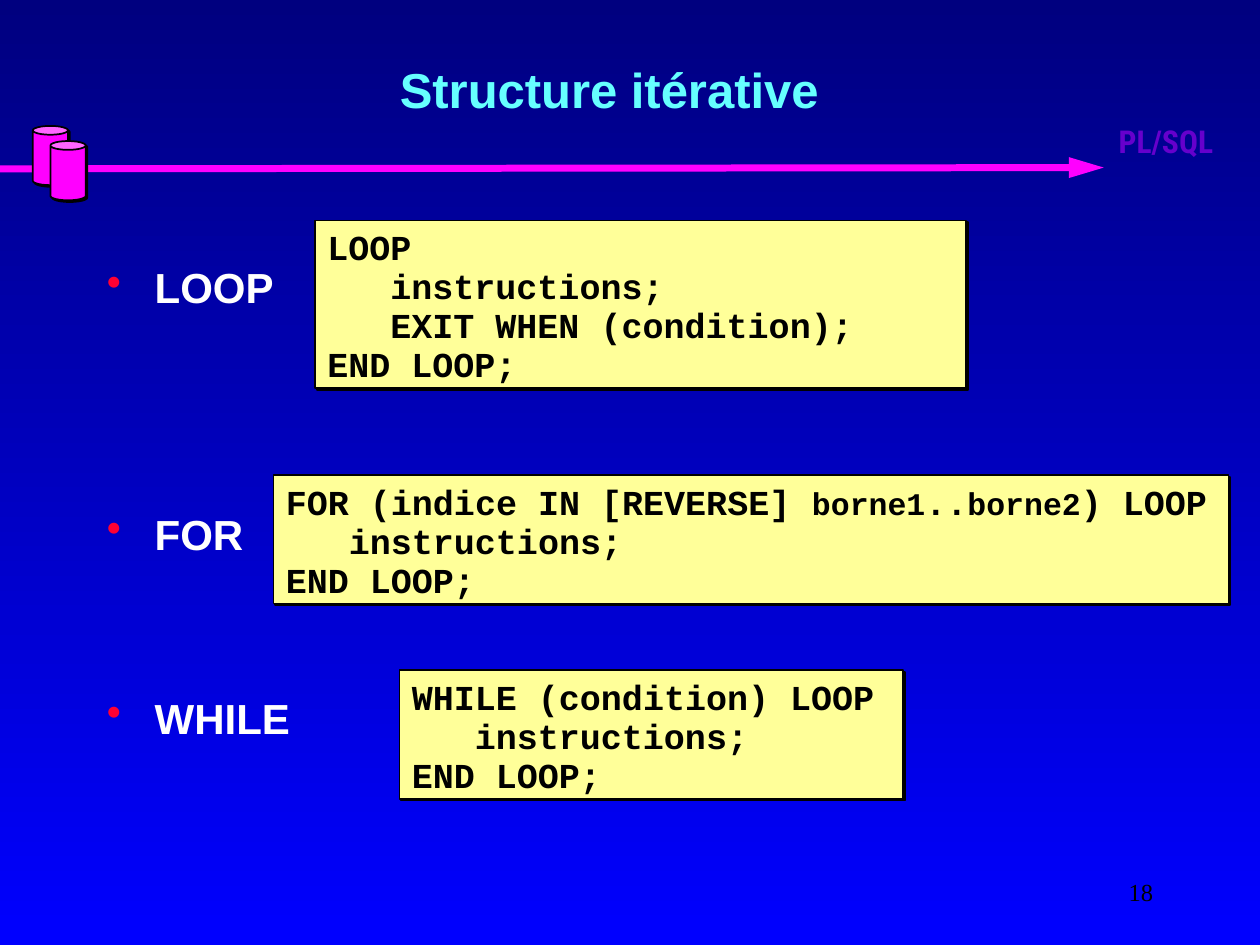
"""Build the PL/SQL slide on iterative structures."""
import pptx
import pptx.util
import pptx.dml.color
import pptx.enum.shapes
import pptx.enum.text
import pptx.oxml
import pptx.oxml.ns
import lxml.etree

Inches, Pt = pptx.util.Inches, pptx.util.Pt
rgb = pptx.dml.color.RGBColor.from_string
Kind = pptx.enum.shapes.MSO_SHAPE
Align = pptx.enum.text.PP_ALIGN
Anchor = pptx.enum.text.MSO_ANCHOR
space = pptx.oxml.ns.nsdecls("a")


def style(font, face, size, color, bold=True):
    font.name, font.size, font.bold = face, Pt(size), bold
    if color:
        font.color.rgb = rgb(color)


def block(shapes, kind, box, fill):
    shape = shapes.add_shape(kind, *map(Inches, box))
    shape.fill.solid()
    shape.fill.fore_color.rgb = rgb(fill)
    shape.line.color.rgb = rgb("000000")
    shape.line.width = Pt(1)
    shape.shadow.inherit = False
    shade = shape._element.spPr.find(pptx.oxml.ns.qn("a:effectLst"))
    shade.append(pptx.oxml.parse_xml(
        f'<a:outerShdw {space} dist="{Pt(1.4)}" dir="2700000" algn="ctr" rotWithShape="0">'
        '<a:srgbClr val="000000"/></a:outerShdw>'))
    return shape


deck = pptx.Presentation()
deck.slide_width, deck.slide_height = Inches(10), Inches(7.5)
slide = deck.slides.add_slide(deck.slide_layouts[6])
shapes = slide.shapes

back = slide.background.fill
back.gradient()
back.gradient_angle = 270
for stop, color in zip(back.gradient_stops, ("00007F", "0000FF")):
    stop.color.rgb = rgb(color)

arrow = shapes.add_connector(
    pptx.enum.shapes.MSO_CONNECTOR.STRAIGHT,
    Inches(0), Inches(1.34), Inches(8.76), Inches(1.33))
arrow.line.color.rgb = rgb("FF00FF")
arrow.line.width = Pt(4)
arrow.line._get_or_add_ln().append(pptx.oxml.parse_xml(
    f'<a:tailEnd {space} type="triangle" w="med" len="lg"/>'))
lxml.etree.SubElement(arrow._element.spPr, pptx.oxml.ns.qn("a:effectLst"))

disks = shapes.add_group_shape().shapes
for left, top in ((0.26, 1), (0.4, 1.12)):
    disk = block(disks, Kind.CAN, (left, top, 0.28, 0.47), "FF00FF")
    disk.adjustments[0] = 0.25

labels = [
    ("PL/SQL", (8.78, 0.92, 1.17, 0.78), "Roboto Condensed", 18, None, True,
     Align.LEFT, Anchor.TOP, False),
    ("18", (7.17, 6.83, 2.08, 0.5), "Times New Roman", 14, "000000", False,
     Align.RIGHT, Anchor.MIDDLE, True),
    ("Structure itérative", (0.42, 0.08, 8.83, 1.25), "Arial", 28, "66FFFF", True,
     Align.CENTER, Anchor.MIDDLE, True),
]
for text, box, face, size, color, bold, align, anchor, wrap in labels:
    frame = shapes.add_textbox(*map(Inches, box)).text_frame
    frame.word_wrap, frame.vertical_anchor = wrap, anchor
    para = frame.paragraphs[0]
    para.text, para.alignment = text, align
    style(para.font, face, size, color, bold)
    if color is None:
        font = para.runs[0].font
        font.fill.gradient()
        font.fill.gradient_angle = 270
        for stop, shade in zip(font.fill.gradient_stops, ("6600CC", "CC00CC")):
            stop.color.rgb = rgb(shade)
        font._element.insert(0, pptx.oxml.parse_xml(
            f'<a:ln {space} w="{Pt(0.75)}"><a:solidFill><a:srgbClr val="CC99FF"/>'
            '</a:solidFill></a:ln>'))

body = shapes.add_textbox(Inches(0.75), Inches(2.03), Inches(8.5), Inches(4.5)).text_frame
body.word_wrap = True
for num, (word, gap) in enumerate((("LOOP", 0), ("FOR", 112), ("WHILE", 76.5))):
    para = body.add_paragraph() if num else body.paragraphs[0]
    para.text = word
    para.space_before = Pt(gap)
    props = para._p.get_or_add_pPr()
    props.set("marL", str(Inches(0.38)))
    props.set("indent", str(-Inches(0.38)))
    for mark in ('<a:buClr {}><a:srgbClr val="FF0033"/></a:buClr>', '<a:buChar {} char="•"/>'):
        props.append(pptx.oxml.parse_xml(mark.format(space)))
    style(para.font, "Arial", 24, "FFFFFF")

small = ("borne1", "borne2")
step = ["\tinstructions;"]
last = ["END LOOP;"]
codes = [
    ((2.5, 1.75, 5.17, 1.33), [["LOOP"], step, ["\tEXIT WHEN (condition);"], last]),
    ((2.17, 3.77, 7.58, 1.02),
     [["FOR (indice IN [REVERSE] ", "borne1", "..", "borne2", ") LOOP"], step, last]),
    ((3.17, 5.32, 4, 1.02), [["WHILE (condition) LOOP"], step, last]),
]
for box, lines in codes:
    frame = block(shapes, Kind.RECTANGLE, box, "FFFF99").text_frame
    frame.word_wrap, frame.vertical_anchor = True, Anchor.MIDDLE
    frame.margin_top, frame.margin_bottom = Inches(0.09), Inches(0.05)
    for num, parts in enumerate(lines):
        para = frame.add_paragraph() if num else frame.paragraphs[0]
        para.alignment, para.line_spacing = Align.LEFT, Pt(22.3)
        style(para.font, "Courier New", 20, "000000")
        for part in parts:
            run = para.add_run()
            run.text = part
            if part in small:
                run.font.size = Pt(18)

deck.save("out.pptx")
